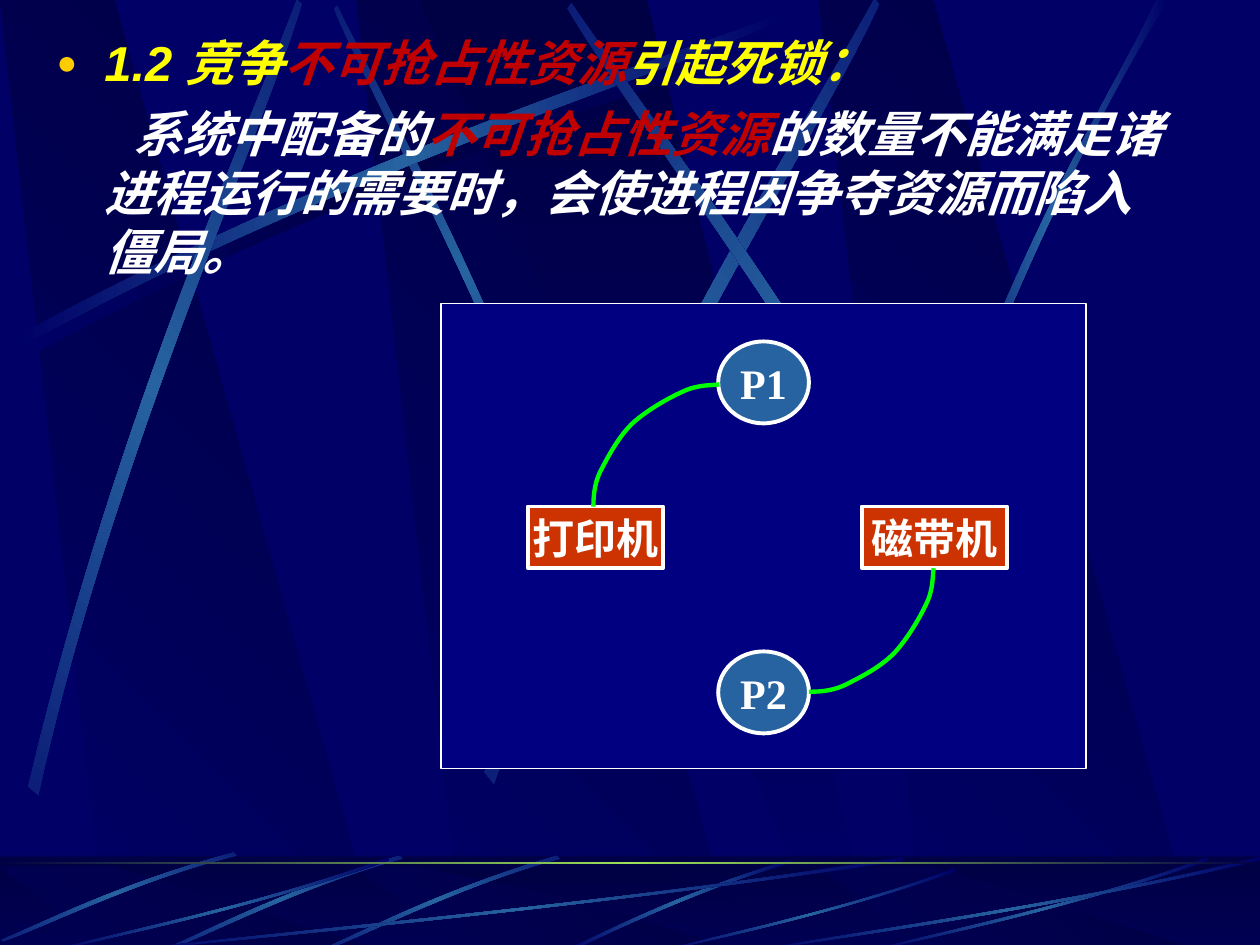
from dataclasses import dataclass
from typing import NamedTuple, Optional

from lxml import etree
from pptx import Presentation
from pptx.dml.color import RGBColor
from pptx.enum.shapes import MSO_SHAPE
from pptx.enum.text import MSO_ANCHOR, MSO_AUTO_SIZE, PP_ALIGN
from pptx.oxml.ns import qn
from pptx.util import Cm, Pt

RECTANGLE, OVAL = MSO_SHAPE.RECTANGLE, MSO_SHAPE.OVAL
MIDDLE, CENTER, NO_AUTOFIT = MSO_ANCHOR.MIDDLE, PP_ALIGN.CENTER, MSO_AUTO_SIZE.NONE

NAVY = RGBColor(0x00, 0x00, 0x66)
DEEP = RGBColor(0x00, 0x00, 0x44)
PANEL = RGBColor(0x00, 0x00, 0x80)
STEEL = RGBColor(0x26, 0x63, 0xA0)
LIME = RGBColor(0x9C, 0xE1, 0x57)
GREEN = RGBColor(0x00, 0xFF, 0x00)
ORANGE = RGBColor(0xCC, 0x33, 0x00)
GOLD = RGBColor(0xFF, 0xCC, 0x00)
YELLOW = RGBColor(0xFF, 0xFF, 0x00)
RED = RGBColor(0xC0, 0x00, 0x00)
WHITE = RGBColor(0xFF, 0xFF, 0xFF)

GLOW = (NAVY, STEEL, NAVY)


class Box(NamedTuple):
    """Left, top, width and height in inches."""
    left: float
    top: float
    width: float
    height: float

    def lengths(self):
        return [Cm(value * 2.54) for value in self]


@dataclass(frozen=True)
class Streak:
    box: Box
    profile: tuple
    rotation: float = 0
    flipped: bool = False


@dataclass(frozen=True)
class Band:
    left: float
    width: float
    outline: tuple
    colors: tuple
    angle: float


@dataclass(frozen=True)
class Node:
    text: str
    preset: int
    box: Box
    color: RGBColor


# Outlines are fractions of their box.
SLANTED = ((0.28, 1), (1, 1), (0.3, 0), (0, 0))
FLARED = ((0, 0), (0.9, 1), (1, 1), (0.5, 0))
BANDS = [Band(left, 3.02, SLANTED, (NAVY, DEEP), 315) for left in (2.83, 0, 6.5)]
BANDS.append(Band(3.33, 3.61, FLARED, (DEEP, NAVY), 90))

# Streak profiles: four Bézier points out, four back.
SWEEP = ((0, 0.96), (0.43, 0.43), (0.83, 0.15), (1, 0),
         (1, 0.02), (0.84, 0.19), (0.39, 0.5), (0, 1))
UPRIGHT = ((0, 0.99), (0.4, 0.44), (0.79, 0.17), (0.95, 0),
           (1, 0), (0.52, 0.37), (0.16, 0.81), (0.03, 1))
LOW = ((1, 0.04), (0.57, 0.57), (0.17, 0.85), (0, 1),
       (0, 0.99), (0.17, 0.81), (0.62, 0.51), (1, 0))
LOW_STEEP = ((1, 0), (0.5, 0.37), (0.16, 0.82), (0, 0.99),
             (0.03, 1), (0.23, 0.75), (0.68, 0.25), (1, 0.04))
QUARTER = ((1, 0), (0.99, 0.05), (1, 0.17), (0.94, 0.29), (0.89, 0.4), (0.79, 0.57),
           (0.69, 0.68), (0.58, 0.8), (0.4, 0.89), (0.28, 0.95), (0.17, 1), (0.06, 1), (0, 1))
STREAK_CURVES = (1, 5)
ARC_CURVES = (1, 4, 7, 10)

UPPER_STREAKS = [
    Streak(Box(1.41, 1.35, 4.42, 1.75), SWEEP, 45, True),
    Streak(Box(0.14, 0.1, 6.08, 2.67), SWEEP),
    Streak(Box(-1.71, 1.82, 6.08, 2.67), SWEEP, 311.7),
    Streak(Box(2.31, 1.6, 6.24, 3.01), SWEEP, 321.6),
    Streak(Box(3.23, 1.52, 6.08, 2.67), SWEEP, 34.8, True),
    Streak(Box(7.38, 0, 1.89, 3.97), UPRIGHT),
]
LOWER_STREAKS = [
    Streak(Box(4.48, 6.82, 1.8, 0.73), LOW_STEEP),
    Streak(Box(2.58, 6.76, 1.84, 0.83), SWEEP, 314.9, True),
    Streak(Box(1.33, 6.76, 1.84, 0.83), SWEEP, 314.9, True),
    Streak(Box(0.05, 6.7, 1.79, 0.85), SWEEP, 314.9, True),
    Streak(Box(1, 6.8, 6.17, 0.75), LOW),
    Streak(Box(0.42, 6.8, 2.67, 0.75), LOW),
    Streak(Box(5.27, 6.89, 2.31, 0.66), LOW),
    Streak(Box(6.92, 6.8, 2.67, 0.75), LOW),
    Streak(Box(6, 6.8, 4, 0.75), LOW),
]
NODES = [
    Node("打印机", RECTANGLE, Box(4.19, 4.02, 1.07, 0.49), ORANGE),
    Node("P1", OVAL, Box(5.7, 2.71, 0.72, 0.65), STEEL),
    Node("磁带机", RECTANGLE, Box(6.84, 4.02, 1.15, 0.49), ORANGE),
    Node("P2", OVAL, Box(5.7, 5.17, 0.72, 0.65), STEEL),
]
REQUEST_ARCS = [
    Streak(Box(4.72, 3.04, 0.98, 0.99), QUARTER, 90.6, True),
    Streak(Box(6.42, 4.51, 0.99, 0.98), QUARTER),
]


def fill_gradient(shape, colors: tuple, angle: float = 0) -> None:
    """Spread the colours evenly; the angle runs clockwise."""
    shape.fill.gradient()
    shape.fill.gradient_angle = (360 - angle) % 360
    stops = shape._element.spPr.find(qn("a:gradFill")).find(qn("a:gsLst"))
    for stop in list(stops):
        stops.remove(stop)
    for index, color in enumerate(colors):
        position = str(round(100000 * index / (len(colors) - 1)))
        stop = etree.SubElement(stops, qn("a:gs"), pos=position)
        etree.SubElement(stop, qn("a:srgbClr"), val=str(color))


def add_outline(slide, points, box: Box, closed: bool = True, curves: tuple = ()):
    """Draw an outline; curves lists where three points form a Bézier segment."""
    left, top, width, height = box.lengths()
    placed = [(round(left + x * width), round(top + y * height)) for x, y in points]
    builder = slide.shapes.build_freeform(*placed[0])
    builder.add_line_segments(placed[1:], close=closed)
    shape = builder.convert_to_shape()
    shape.shadow.inherit = False
    segments = list(next(shape._element.iter(qn("a:path"))))
    for start in curves:
        curve = etree.Element(qn("a:cubicBezTo"))
        segments[start].addprevious(curve)
        for segment in segments[start:start + 3]:
            curve.append(segment[0])
            segment.getparent().remove(segment)
    return shape


def add_streak(slide, streak: Streak, colors: tuple = GLOW) -> None:
    shape = add_outline(slide, streak.profile, streak.box, curves=STREAK_CURVES)
    turn(shape, streak)
    fill_gradient(shape, colors)
    shape.line.fill.background()


def add_arc(slide, arc: Streak) -> None:
    shape = add_outline(slide, arc.profile, arc.box, closed=False, curves=ARC_CURVES)
    turn(shape, arc)
    shape.fill.background()
    shape.line.color.rgb = GREEN
    shape.line.width = Pt(2.5)


def turn(shape, streak: Streak) -> None:
    shape.rotation = streak.rotation
    if streak.flipped:
        shape._element.spPr.find(qn("a:xfrm")).set("flipH", "1")


def add_bands(slide, top: float, height: float) -> None:
    for band in BANDS:
        shape = add_outline(slide, band.outline, Box(band.left, top, band.width, height))
        fill_gradient(shape, band.colors, band.angle)
        shape.line.fill.background()


def add_preset(slide, preset: int, box: Box, color: Optional[RGBColor] = None, border: float = 0):
    shape = slide.shapes.add_shape(preset, *box.lengths())
    shape.shadow.inherit = False
    if color is not None:
        shape.fill.solid()
        shape.fill.fore_color.rgb = color
    if border:
        shape.line.color.rgb = WHITE
        shape.line.width = Pt(border)
    else:
        shape.line.fill.background()
    return shape


def add_text(paragraph, text: str, *, color=WHITE, size=28, font="Arial", italic=True) -> None:
    run = paragraph.add_run()
    run.text = text
    run.font.name, run.font.size = font, Pt(size)
    run.font.bold, run.font.italic = True, italic
    run.font.color.rgb = color


def set_indent(paragraph, first_line: float, bulleted: bool) -> None:
    properties = paragraph._p.get_or_add_pPr()
    properties.set("marL", str(Cm(0.96)))
    properties.set("indent", str(Cm(first_line)))
    if bulleted:
        color = etree.SubElement(properties, qn("a:buClr"))
        etree.SubElement(color, qn("a:srgbClr"), val=str(GOLD))
        etree.SubElement(properties, qn("a:buSzPct"), val="70000")
        etree.SubElement(properties, qn("a:buChar"), char="●")
    else:
        etree.SubElement(properties, qn("a:buNone"))
    paragraph.line_spacing = 1.0
    paragraph.space_before = Pt(0 if bulleted else 7)


def add_background(slide) -> None:
    slide.background.fill.solid()
    slide.background.fill.fore_color.rgb = NAVY
    add_bands(slide, 0, 7.52)
    add_streak(slide, Streak(Box(0.2, 0.18, 6.08, 2.67), SWEEP), (NAVY, DEEP, NAVY))
    for streak in UPPER_STREAKS:
        add_streak(slide, streak)
    fill_gradient(add_preset(slide, RECTANGLE, Box(0, 6.8, 10, 0.75)), (DEEP, NAVY), 90)
    add_bands(slide, 6.88, 0.66)
    veil = add_preset(slide, RECTANGLE, Box(0, 6.79, 10, 0.75), DEEP)
    veil_color = veil._element.spPr.find(qn("a:solidFill"))[0]
    etree.SubElement(veil_color, qn("a:alpha"), val="50000")
    for streak in LOWER_STREAKS:
        add_streak(slide, streak)
    fill_gradient(add_preset(slide, RECTANGLE, Box(0, 6.84, 10, 0.02)), (DEEP, LIME, DEEP))


def write_body(slide, body) -> None:
    slide.shapes._spTree.append(body._element)  # in front of the background
    body.left, body.top, body.width, body.height = Box(0.35, 0.21, 8.98, 2.2).lengths()
    frame = body.text_frame
    frame.word_wrap, frame.auto_size = True, NO_AUTOFIT
    heading, explanation = frame.paragraphs[0], frame.add_paragraph()
    set_indent(heading, -0.96, True)
    add_text(heading, "1.2 竞争", color=YELLOW)
    add_text(heading, "不可抢占性资源", color=RED)
    add_text(heading, "引起死锁：", color=YELLOW)
    set_indent(explanation, 0.58, False)
    add_text(explanation, "系统中配备的")
    add_text(explanation, "不可抢占性资源", color=RED)
    add_text(explanation, "的数量不能满足诸进程运行的需要时，会使进程因争夺资源而陷入僵局。")


def add_diagram(slide) -> None:
    add_preset(slide, RECTANGLE, Box(3.5, 2.41, 5.12, 3.69), PANEL, 0.75)
    for node in NODES:
        shape = add_preset(slide, node.preset, node.box, node.color, 2.25)
        frame = shape.text_frame
        frame.word_wrap, frame.vertical_anchor = False, MIDDLE
        label = frame.paragraphs[0]
        label.alignment = CENTER
        add_text(label, node.text, size=24, font="Times New Roman", italic=False)
    for arc in REQUEST_ARCS:
        add_arc(slide, arc)


def main() -> None:
    deck = Presentation()
    deck.slide_width, deck.slide_height = Cm(25.4), Cm(19.05)
    slide = deck.slides.add_slide(deck.slide_layouts[1])
    title, body = slide.placeholders
    title._element.getparent().remove(title._element)
    add_background(slide)
    write_body(slide, body)
    add_diagram(slide)
    deck.save("out.pptx")


if __name__ == "__main__":
    main()
